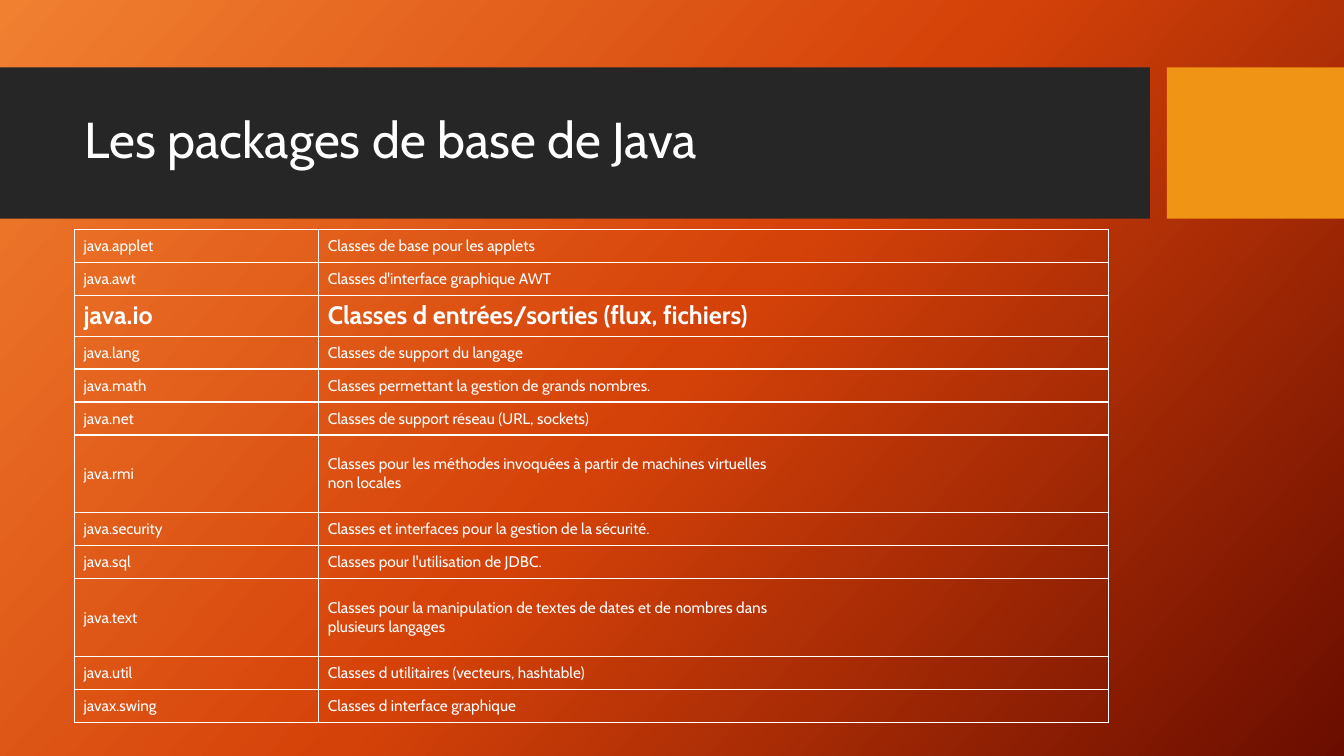
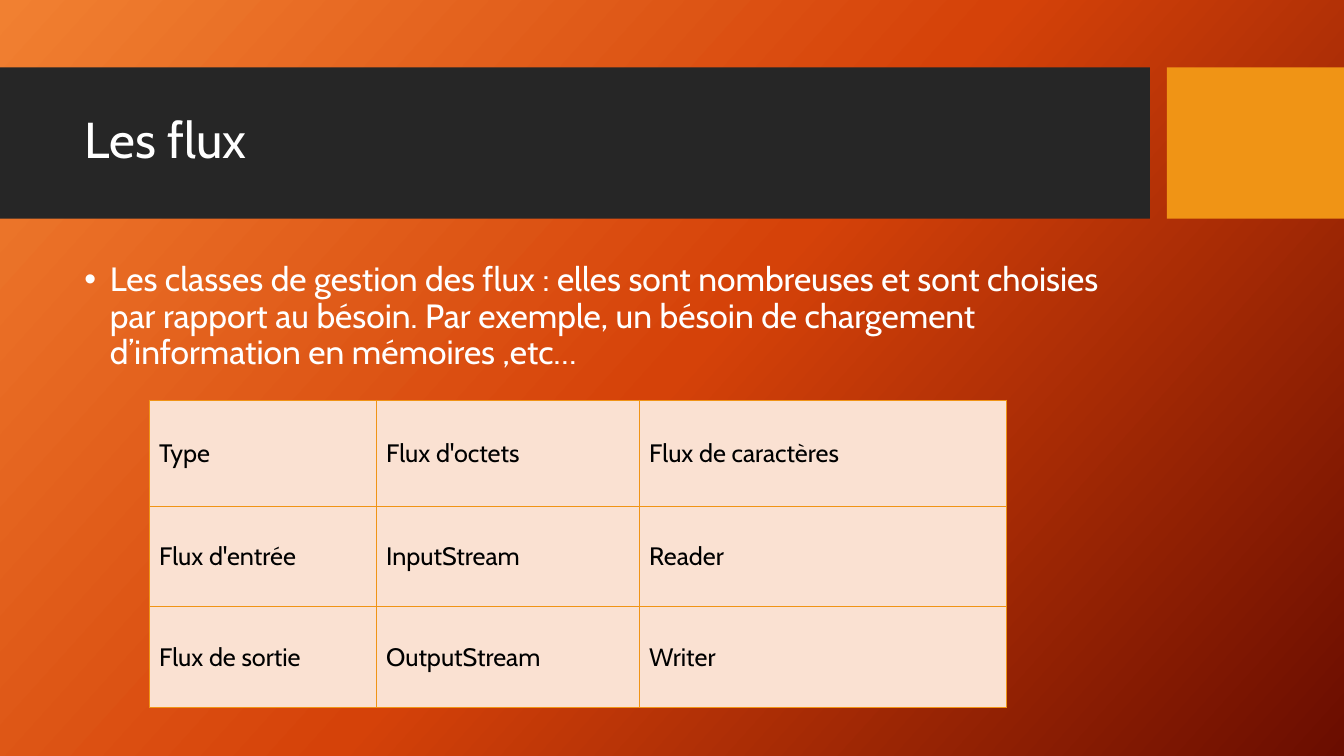
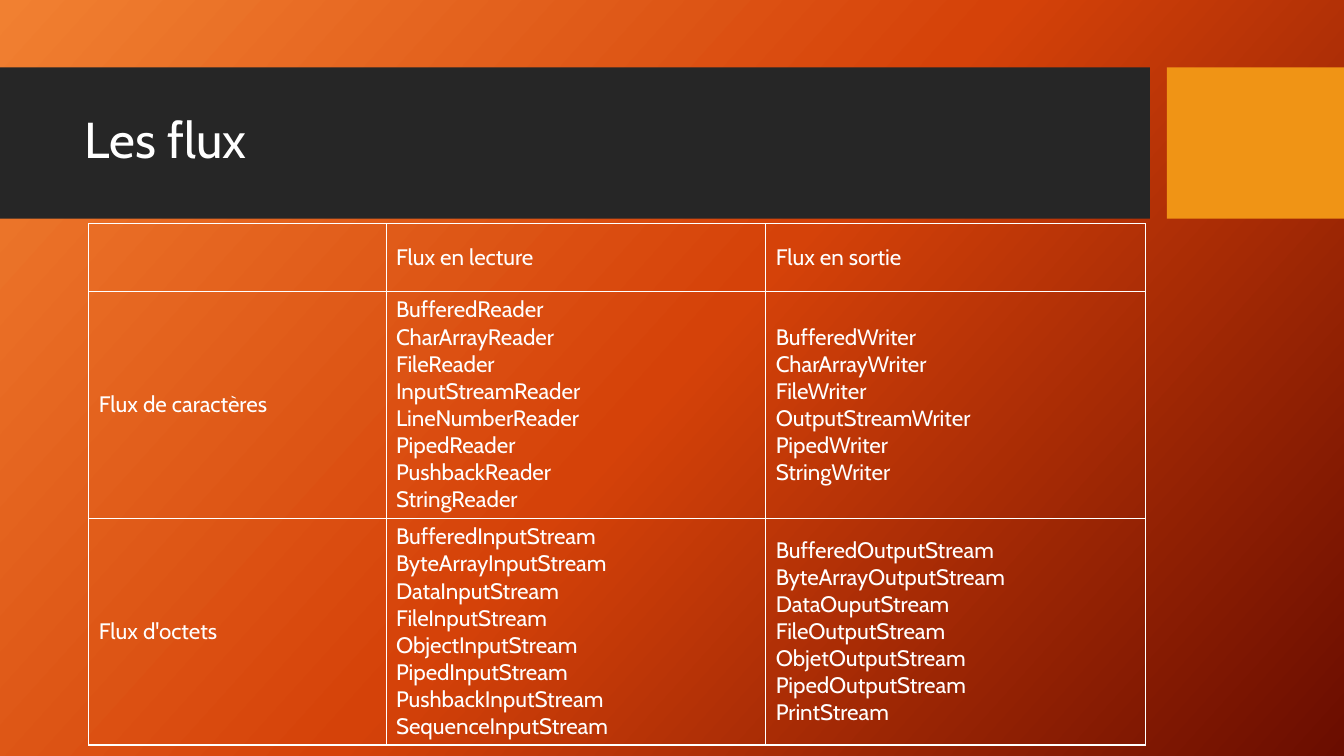
from lxml import etree
from pptx import Presentation
from pptx import util as u
from pptx.dml.color import RGBColor
from pptx.enum import shapes, text
from pptx.oxml import ns

FONT = "Cabin"
WHITE = "FFFFFF"
BLACK = "000000"
CHARCOAL = "262626"
AMBER = "F09415"
BLUSH = "FAE1D2"
GRADIENT = [(0, "F18031"), (50, "D54209"), (100, "6A0D00")]
GRADIENT_ANGLE = 42


def color(value):
    return RGBColor.from_string(value)


def add_color(parent, value):
    etree.SubElement(parent, ns.qn("a:srgbClr"), val=value)


class Slides:
    def __init__(self):
        self.deck = Presentation()
        self.deck.slide_width = u.Cm(33.87)
        self.deck.slide_height = u.Cm(19.05)
        self.layout = self.deck.slide_layouts.get_by_name("Title Only")
        self.page = None
        self.set_background()

    def set_background(self):
        master = self.deck.slide_master
        fill = master.background.fill
        fill.gradient()
        fill.gradient_angle = 360 - GRADIENT_ANGLE
        stops = master.element.xpath(".//p:bg//a:gsLst")[0]
        for stop in list(stops):
            stops.remove(stop)
        for position, value in GRADIENT:
            stop = etree.SubElement(stops, ns.qn("a:gs"), pos=str(position * 1000))
            add_color(stop, value)

    def style(self, frame, size, value, bold=False):
        for para in frame.paragraphs:
            for span in para.runs:
                span.font.name = FONT
                span.font.size = u.Pt(size)
                span.font.bold = bold
                span.font.color.rgb = color(value)

    def start(self, title):
        self.page = self.deck.slides.add_slide(self.layout)
        self.band(0, 28.98, CHARCOAL)
        self.band(29.41, 4.46, AMBER)
        box = self.page.shapes.title
        self.page.shapes.element.append(box.element)
        box.left, box.top, box.width, box.height = map(u.Cm, (1.88, 2.08, 26.7, 3))
        frame = box.text_frame
        frame.text = title
        frame.auto_size = text.MSO_AUTO_SIZE.NONE
        frame.vertical_anchor = text.MSO_ANCHOR.MIDDLE
        frame.paragraphs[0].alignment = text.PP_ALIGN.LEFT
        frame.paragraphs[0].line_spacing = 0.9
        self.style(frame, 36, WHITE)

    def band(self, left, width, value):
        box = self.page.shapes.add_shape(
            shapes.MSO_SHAPE.RECTANGLE, u.Cm(left), u.Cm(1.7), u.Cm(width), u.Cm(3.81)
        )
        box.shadow.inherit = False
        box.fill.solid()
        box.fill.fore_color.rgb = color(value)
        box.line.fill.background()

    def bullet(self, words):
        box = self.page.shapes.add_textbox(*map(u.Cm, (1.88, 6.5, 26.7, 3.4)))
        frame = box.text_frame
        frame.word_wrap = True
        frame.text = words
        para = frame.paragraphs[0]
        para.line_spacing = 0.9
        para.space_before = u.Pt(10)
        properties = para._p.get_or_add_pPr()
        indent = u.Cm(0.64)
        properties.set("marL", str(indent))
        properties.set("indent", str(-indent))
        etree.SubElement(properties, ns.qn("a:buFont"), typeface="Arial")
        etree.SubElement(properties, ns.qn("a:buChar"), char="•")
        self.style(frame, 24, WHITE)

    def border(self, cell, value, width):
        properties = cell._tc.get_or_add_tcPr()
        for index, side in enumerate(("a:lnL", "a:lnR", "a:lnT", "a:lnB")):
            line = etree.Element(ns.qn(side), w=str(u.Pt(width)))
            add_color(etree.SubElement(line, ns.qn("a:solidFill")), value)
            properties.insert(index, line)

    def table(self, left, top, widths, heights, rows, size, ink=WHITE, fill=None,
              line=WHITE, line_width=1, margins=(0.25, 0.13), emphasis=None):
        table = self.page.shapes.add_table(
            len(rows), len(widths), u.Cm(left), u.Cm(top),
            u.Cm(sum(widths)), u.Cm(sum(heights)),
        ).table
        table.first_row = table.horz_banding = False
        for column, width in zip(table.columns, widths):
            column.width = u.Cm(width)
        for number, (row, height, words) in enumerate(zip(table.rows, heights, rows)):
            row.height = u.Cm(height)
            strong = number == emphasis
            for cell, content in zip(row.cells, words):
                cell.text_frame.text = content
                cell.vertical_anchor = text.MSO_ANCHOR.MIDDLE
                cell.margin_left = cell.margin_right = u.Cm(margins[0])
                cell.margin_top = cell.margin_bottom = u.Cm(margins[1])
                self.style(cell.text_frame, 18 if strong else size, ink, strong)
                if fill:
                    cell.fill.solid()
                    cell.fill.fore_color.rgb = color(fill)
                else:
                    cell.fill.background()
                self.border(cell, line, line_width)


PACKAGES = [
    ("java.applet", "Classes de base pour les applets"),
    ("java.awt", "Classes d'interface graphique AWT"),
    ("java.io", "Classes d entrées/sorties (flux, fichiers)"),
    ("java.lang", "Classes de support du langage"),
    ("java.math", "Classes permettant la gestion de grands nombres."),
    ("java.net", "Classes de support réseau (URL, sockets)"),
    ("java.rmi", "Classes pour les méthodes invoquées à partir de machines virtuelles\nnon locales"),
    ("java.security", "Classes et interfaces pour la gestion de la sécurité."),
    ("java.sql", "Classes pour l'utilisation de JDBC."),
    ("java.text", "Classes pour la manipulation de textes de dates et de nombres dans\nplusieurs langages"),
    ("java.util", "Classes d utilitaires (vecteurs, hashtable)"),
    ("javax.swing", "Classes d interface graphique"),
]

STREAM_TYPES = [
    ("Type", "Flux d'octets", "Flux de caractères"),
    ("Flux d'entrée", "InputStream", "Reader"),
    ("Flux de sortie", "OutputStream", "Writer"),
]

READERS = ["BufferedReader", "CharArrayReader", "FileReader", "InputStreamReader",
           "LineNumberReader", "PipedReader", "PushbackReader", "StringReader"]
WRITERS = ["BufferedWriter", "CharArrayWriter", "FileWriter", "OutputStreamWriter",
           "PipedWriter", "StringWriter"]
INPUTS = ["BufferedInputStream", "ByteArrayInputStream", "DataInputStream",
          "FileInputStream", "ObjectInputStream", "PipedInputStream",
          "PushbackInputStream", "SequenceInputStream"]
OUTPUTS = ["BufferedOutputStream", "ByteArrayOutputStream", "DataOuputStream",
           "FileOutputStream", "ObjetOutputStream", "PipedOutputStream", "PrintStream"]

STREAM_CLASSES = [
    ("", "Flux en lecture", "Flux en sortie"),
    ("Flux de caractères", "\n".join(READERS), "\n".join(WRITERS)),
    ("Flux d'octets", "\n".join(INPUTS), "\n".join(OUTPUTS)),
]


def package_height(number, description):
    if number == 2:
        return 1.02
    return 1.96 if "\n" in description else 0.83


def main():
    slides = Slides()

    slides.start("Les packages de base de Java")
    heights = [package_height(number, row[1]) for number, row in enumerate(PACKAGES)]
    slides.table(1.88, 5.79, [6.15, 19.91], heights, PACKAGES, 11,
                 margins=(0.23, 0.1), emphasis=2)

    slides.start("Les flux")
    slides.bullet(
        "Les classes de gestion des flux : elles sont nombreuses et sont choisies "
        "par rapport au bésoin. Par exemple, un bésoin de chargement "
        "d’information en mémoires ,etc…"
    )
    slides.table(3.76, 10.08, [5.72, 6.63, 9.25], [2.67, 2.54, 2.54], STREAM_TYPES, 18,
                 ink=BLACK, fill=BLUSH, line=AMBER, line_width=0.75)

    slides.start("Les flux")
    slides.table(2.24, 5.64, [7.49, 9.57, 9.57], [1.7, 5.66, 5.66], STREAM_CLASSES, 16)

    slides.deck.save("out.pptx")


if __name__ == "__main__":
    main()
